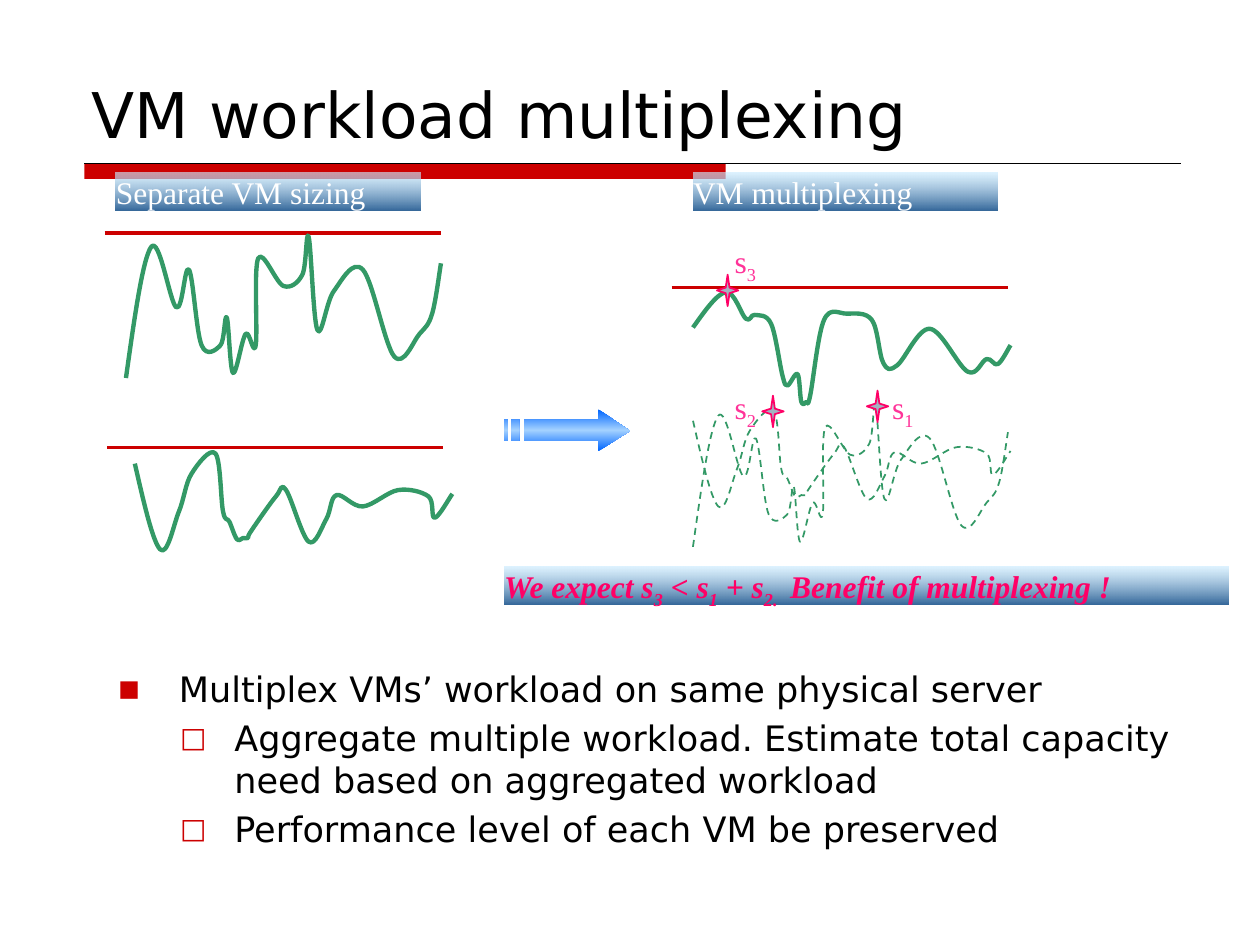
from dataclasses import dataclass

import lxml.etree
import pptx
import pptx.dml.color
import pptx.enum.dml
import pptx.enum.shapes
import pptx.enum.text
import pptx.oxml.ns
import pptx.shapes.autoshape
import pptx.slide
import pptx.text.text
import pptx.util

Inches = pptx.util.Inches
Pt = pptx.util.Pt
RGBColor = pptx.dml.color.RGBColor
qn = pptx.oxml.ns.qn
Shape = pptx.shapes.autoshape.Shape
Point = tuple[float, float]

RED = RGBColor(0xCC, 0x00, 0x00)
BLACK = RGBColor(0x00, 0x00, 0x00)
WHITE = RGBColor(0xFF, 0xFF, 0xFF)
GREEN = RGBColor(0x33, 0x99, 0x66)
PINK = RGBColor(0xFF, 0x33, 0x99)
MAGENTA = RGBColor(0xFF, 0x00, 0x66)
STAR_GRAY = RGBColor(0xA3, 0xB2, 0xC1)
PALE_BLUE = RGBColor(0xCC, 0xEC, 0xFF)
STEEL_BLUE = RGBColor(0x33, 0x66, 0x99)
ARROW_BLUE = RGBColor(0x00, 0x66, 0xFF)
ARROW_LIGHT = RGBColor(0xA3, 0xD1, 0xFF)
SANS = "DejaVu Sans"
SERIF = "Times New Roman"


@dataclass
class Stop:
    percent: int
    color: RGBColor
    opacity: int = 100


@dataclass
class Banner:
    text: str
    left: float
    top: float
    width: float
    color: RGBColor = WHITE
    emphasis: bool = False


@dataclass
class Rule:
    left: float
    top: float
    width: float
    color: RGBColor = RED
    weight: float = 2


@dataclass
class Workload:
    knots: list[Point]
    shift: Point = (0, 0)
    dashed: bool = False


@dataclass
class Peak:
    label: str
    label_at: Point
    star_at: Point


@dataclass
class Bullet:
    text: str
    level: int
    margin: float
    hanging: float
    mark: str
    mark_percent: int


VM_ONE = [
    (1, 3), (1.2, 1.96), (1.4, 2.44), (1.5, 2.14), (1.6, 2.74), (1.75, 2.74),
    (1.8, 2.52), (1.85, 2.96), (1.95, 2.65), (2.03, 2.74), (2.05, 2.05),
    (2.25, 2.27), (2.4, 2.18), (2.45, 1.88), (2.52, 2.62), (2.65, 2.31),
    (2.88, 2.14), (3.13, 2.83), (3.33, 2.65), (3.43, 2.49), (3.5, 2.09),
]
VM_TWO = [
    (1.07, 3.68), (1.27, 4.36), (1.42, 4.06), (1.52, 3.76), (1.71, 3.6),
    (1.77, 4.06), (1.82, 4.14), (1.88, 4.28), (1.93, 4.27), (1.97, 4.27),
    (1.99, 4.22), (2.19, 3.94), (2.27, 3.89), (2.45, 4.3), (2.59, 4.12),
    (2.67, 3.93), (2.88, 4.02), (3.16, 3.89), (3.4, 3.94), (3.45, 4.11),
    (3.59, 3.92),
]
COMBINED = [
    (5.5, 2.6), (5.76, 2.32), (5.92, 2.53), (5.99, 2.5), (6.12, 2.57),
    (6.21, 2.98), (6.25, 3.06), (6.33, 2.97), (6.36, 3.19), (6.4, 3.19),
    (6.43, 3.14), (6.54, 2.54), (6.72, 2.49), (6.92, 2.54), (7.01, 2.88),
    (7.12, 2.9), (7.38, 2.61), (7.68, 2.95), (7.83, 2.85), (7.92, 2.89),
    (8.02, 2.74),
]
WORKLOADS = [
    Workload(VM_ONE),
    Workload(VM_TWO),
    Workload(VM_ONE, (4.5, 1.34), True),
    Workload(COMBINED),
    Workload(VM_TWO, (4.43, -0.34), True),
]
RULES = [
    Rule(0.67, 1.3, 8.7, BLACK, 0.75),
    Rule(0.83, 1.85, 2.67),
    Rule(0.85, 3.55, 2.67),
    Rule(5.33, 2.28, 2.67),
]
BANNERS = [
    Banner("Separate VM sizing", 0.92, 1.37, 2.42),
    Banner("VM multiplexing", 5.5, 1.37, 2.42),
    Banner("We expect s_3_ < s_1_ + s_2. _ Benefit of multiplexing !",
           4, 4.5, 5.75, MAGENTA, True),
]
PEAKS = [
    Peak("s_1_", (7.08, 3.08), (6.88, 3.1)),
    Peak("s_2_", (5.83, 3.08), (6.05, 3.14)),
    Peak("s_3_", (5.83, 1.92), (5.69, 2.18)),
]
BULLETS = [
    Bullet("Multiplex VMs’ workload on same physical server", 1, 0.99, 0.48, "■", 65),
    Bullet("Aggregate multiple workload. Estimate total capacity need based on "
           "aggregated workload", 2, 1.43, 0.43, "□", 80),
    Bullet("Performance level of each VM be preserved", 2, 1.43, 0.43, "□", 80),
]
ARROW_PARTS = [
    [(4.75, 3.25), (4.75, 3.33), (4.16, 3.33), (4.16, 3.5), (4.75, 3.5),
     (4.75, 3.58), (5, 3.42)],
    [(4.06, 3.33), (4.06, 3.5), (4.12, 3.5), (4.12, 3.33)],
    [(4, 3.33), (4, 3.5), (4.03, 3.5), (4.03, 3.33)],
]


def box(left: float, top: float, width: float, height: float) -> list[int]:
    return [Inches(length) for length in (left, top, width, height)]


def in_emu(points: list[Point]) -> list[tuple[int, int]]:
    return [(Inches(x), Inches(y)) for x, y in points]


def set_font(paragraph: pptx.text.text._Paragraph, face: str, size: float,
             color: RGBColor) -> None:
    paragraph.font.name = face
    paragraph.font.size = Pt(size)
    paragraph.font.color.rgb = color


def fill_gradient(shape: Shape, stops: list[Stop]) -> None:
    shape.fill.gradient()
    shape.fill.gradient_angle = 270
    stop_list = shape.element.spPr.find(".//" + qn("a:gsLst"))
    for old in list(stop_list):
        stop_list.remove(old)
    for stop in stops:
        entry = lxml.etree.SubElement(stop_list, qn("a:gs"), pos=str(stop.percent * 1000))
        color = lxml.etree.SubElement(entry, qn("a:srgbClr"), val=str(stop.color))
        if stop.opacity < 100:
            lxml.etree.SubElement(color, qn("a:alpha"), val=str(stop.opacity * 1000))
    shape.line.fill.background()
    shape.shadow.inherit = False


def write_label(shape: Shape, text: str, color: RGBColor, wrap: bool) -> None:
    frame = shape.text_frame
    frame.margin_left = frame.margin_top = frame.margin_right = frame.margin_bottom = 0
    frame.word_wrap = wrap
    frame.vertical_anchor = pptx.enum.text.MSO_ANCHOR.TOP
    paragraph = frame.paragraphs[0]
    paragraph.alignment = pptx.enum.text.PP_ALIGN.LEFT
    set_font(paragraph, SERIF, 18, color)
    for index, piece in enumerate(text.split("_")):
        if piece:
            run = paragraph.add_run()
            run.text = piece
            if index % 2:
                run._r.get_or_add_rPr().set("baseline", "-25000")


def draw_rule(slide: pptx.slide.Slide, rule: Rule) -> None:
    y = Inches(rule.top)
    level = slide.shapes.add_connector(
        pptx.enum.shapes.MSO_CONNECTOR.STRAIGHT,
        Inches(rule.left), y, Inches(rule.left + rule.width), y)
    level.line.color.rgb = rule.color
    level.line.width = Pt(rule.weight)
    lxml.etree.SubElement(level.element.spPr, qn("a:effectLst"))


def spline_points(knots: list[Point]) -> list[Point]:
    padded = [knots[0], *knots, knots[-1]]
    points = []
    for before, start, end, after in zip(padded, padded[1:], padded[2:], padded[3:]):
        points.append(tuple(s + (e - b) / 6 for b, s, e in zip(before, start, end)))
        points.append(tuple(e - (a - s) / 6 for s, e, a in zip(start, end, after)))
        points.append(end)
    points[0] = tuple((s + c) / 2 for s, c in zip(knots[0], points[1]))
    return points


def draw_workload(slide: pptx.slide.Slide, workload: Workload) -> None:
    dx, dy = workload.shift
    knots = [(x + dx, y + dy) for x, y in workload.knots]
    start = in_emu(knots[:1])[0]
    builder = slide.shapes.build_freeform(*start)
    builder.add_line_segments(in_emu(spline_points(knots)), close=False)
    curve = builder.convert_to_shape()
    segments = list(curve.element.iter(qn("a:lnTo")))
    outline = segments[0].getparent()
    for first in range(0, len(segments), 3):
        bend = lxml.etree.SubElement(outline, qn("a:cubicBezTo"))
        for segment in segments[first:first + 3]:
            bend.append(segment[0])
            outline.remove(segment)
    curve.fill.background()
    curve.line.color.rgb = GREEN
    curve.line.width = Pt(1 if workload.dashed else 2.5)
    if workload.dashed:
        curve.line.dash_style = pptx.enum.dml.MSO_LINE.DASH
    curve.shadow.inherit = False


def draw_banner(slide: pptx.slide.Slide, banner: Banner) -> None:
    strip = slide.shapes.add_shape(
        pptx.enum.shapes.MSO_SHAPE.RECTANGLE,
        *box(banner.left, banner.top, banner.width, 0.3))
    fill_gradient(strip, [Stop(0, PALE_BLUE, 64), Stop(100, STEEL_BLUE)])
    write_label(strip, banner.text, banner.color, True)
    if banner.emphasis:
        font = strip.text_frame.paragraphs[0].font
        font.bold = font.italic = True


def draw_peak(slide: pptx.slide.Slide, peak: Peak) -> None:
    star = slide.shapes.add_shape(
        pptx.enum.shapes.MSO_SHAPE.STAR_4_POINT, *box(*peak.star_at, 0.17, 0.25))
    star.fill.solid()
    star.fill.fore_color.rgb = STAR_GRAY
    star.line.color.rgb = MAGENTA
    star.line.width = Pt(1)
    star.shadow.inherit = False
    label = slide.shapes.add_textbox(*box(*peak.label_at, 0.22, 0.3))
    write_label(label, peak.label, PINK, False)


def draw_arrow(slide: pptx.slide.Slide) -> None:
    head, *stripes = [in_emu(part) for part in ARROW_PARTS]
    builder = slide.shapes.build_freeform(*head[0])
    builder.add_line_segments(head[1:])
    for stripe in stripes:
        builder.move_to(*stripe[0])
        builder.add_line_segments(stripe[1:])
    fill_gradient(builder.convert_to_shape(),
                  [Stop(0, ARROW_BLUE), Stop(50, ARROW_LIGHT), Stop(100, ARROW_BLUE)])


def write_title(slide: pptx.slide.Slide) -> None:
    title = slide.shapes.title
    title.left, title.top, title.width, title.height = box(0.63, 0.08, 8.75, 1.17)
    frame = title.text_frame
    frame.text = "VM workload multiplexing"
    frame.auto_size = pptx.enum.text.MSO_AUTO_SIZE.NONE
    frame.vertical_anchor = pptx.enum.text.MSO_ANCHOR.BOTTOM
    frame.paragraphs[0].alignment = pptx.enum.text.PP_ALIGN.LEFT
    set_font(frame.paragraphs[0], SANS, 36, BLACK)


def write_bullets(slide: pptx.slide.Slide) -> None:
    body = slide.placeholders[1]
    body.left, body.top, body.width, body.height = box(0.33, 5.25, 9.17, 1.92)
    frame = body.text_frame
    frame.text = "\n".join(bullet.text for bullet in BULLETS)
    frame.auto_size = pptx.enum.text.MSO_AUTO_SIZE.NONE
    for paragraph, bullet in zip(frame.paragraphs, BULLETS):
        paragraph.level = bullet.level
        paragraph.space_before = Pt(4)
        properties = paragraph._p.get_or_add_pPr()
        properties.set("marL", str(Inches(bullet.margin)))
        properties.set("indent", str(-Inches(bullet.hanging)))
        mark_color = lxml.etree.SubElement(properties, qn("a:buClr"))
        lxml.etree.SubElement(mark_color, qn("a:srgbClr"), val=str(RED))
        lxml.etree.SubElement(properties, qn("a:buSzPct"), val=str(bullet.mark_percent * 1000))
        lxml.etree.SubElement(properties, qn("a:buFont"), typeface=SANS)
        lxml.etree.SubElement(properties, qn("a:buChar"), char=bullet.mark)
        set_font(paragraph, SANS, 20, BLACK)


def main() -> None:
    deck = pptx.Presentation()
    deck.slide_width, deck.slide_height = Inches(10), Inches(7.5)
    slide = deck.slides.add_slide(deck.slide_layouts[1])
    write_title(slide)
    write_bullets(slide)
    title_bar = slide.shapes.add_shape(
        pptx.enum.shapes.MSO_SHAPE.RECTANGLE, *box(0.67, 1.3, 5.09, 0.12))
    title_bar.fill.solid()
    title_bar.fill.fore_color.rgb = RED
    title_bar.line.fill.background()
    title_bar.shadow.inherit = False
    for rule in RULES:
        draw_rule(slide, rule)
    for workload in WORKLOADS:
        draw_workload(slide, workload)
    draw_arrow(slide)
    for banner in BANNERS:
        draw_banner(slide, banner)
    for peak in PEAKS:
        draw_peak(slide, peak)
    deck.save("out.pptx")


if __name__ == "__main__":
    main()
